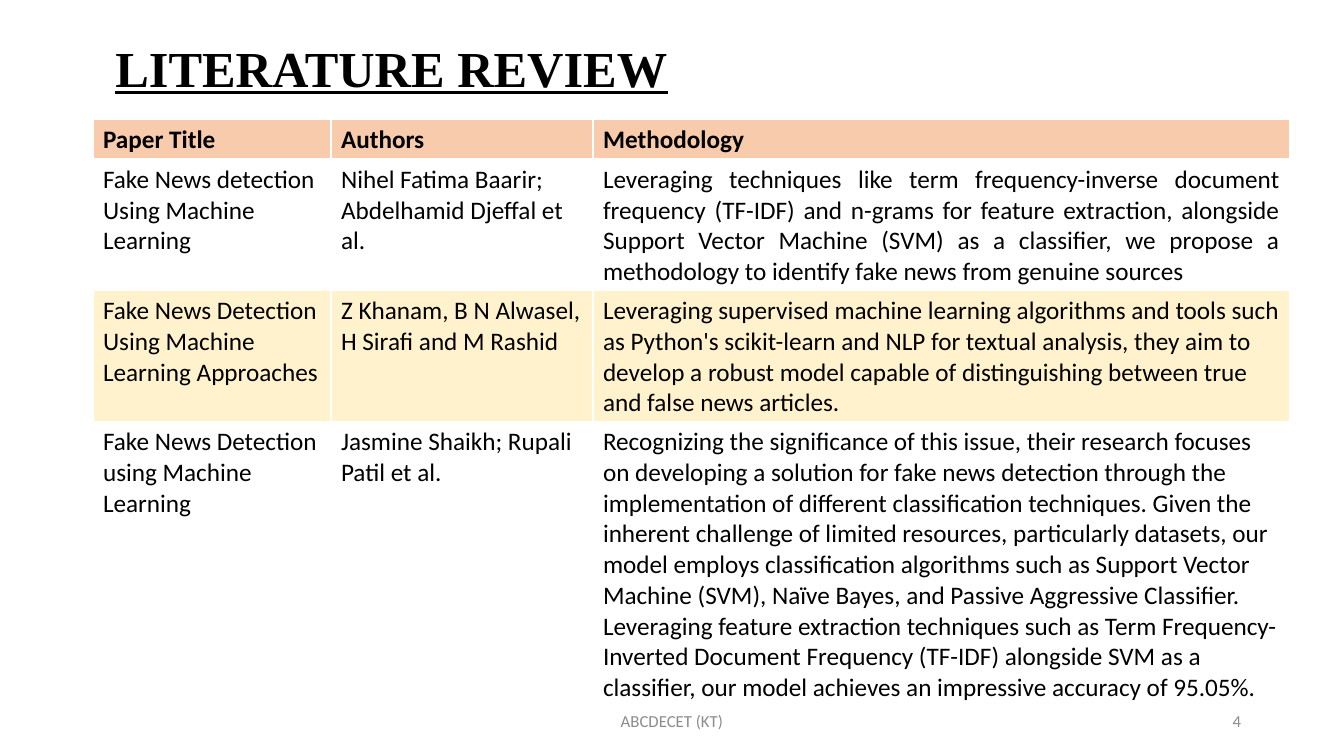
from lxml.etree import SubElement
from pptx import Presentation
from pptx.dml.color import RGBColor
from pptx.enum.text import MSO_ANCHOR, PP_ALIGN
from pptx.oxml.ns import qn
from pptx.util import Emu, Pt

SCALE = 914400 / 100.8  # EMU per px
BLACK = RGBColor(0x00, 0x00, 0x00)
WHITE = RGBColor(0xFF, 0xFF, 0xFF)
GREY = RGBColor(0x8C, 0x8C, 0x8C)
PEACH = RGBColor(0xF8, 0xCB, 0xAD)
CREAM = RGBColor(0xFF, 0xF2, 0xCC)


def px(length):
    return Emu(round(length * SCALE))


def write(frame, text, color, align, formats):
    paragraph = frame.paragraphs[0]
    paragraph.alignment = align
    run = paragraph.add_run()
    run.text = text
    run.font.color.rgb = color
    for attribute, value in formats.items():
        setattr(run.font, attribute, value)


presentation = Presentation()
presentation.slide_width, presentation.slide_height = px(1344), px(756)
slide = presentation.slides.add_slide(presentation.slide_layouts[6])

# Heading, footer and page number
heading_format = {"name": "Times New Roman", "size": Pt(36), "bold": True, "underline": True}
footer_format = {"name": "Calibri", "size": Pt(12)}
lines = [
    ("LITERATURE REVIEW", (93, 32, 597, 72), BLACK, PP_ALIGN.CENTER, MSO_ANCHOR.TOP, heading_format),
    ("ABCDECET (KT)", (445, 701, 454, 40), GREY, PP_ALIGN.CENTER, MSO_ANCHOR.MIDDLE, footer_format),
    ("4", (949, 701, 302, 40), GREY, PP_ALIGN.RIGHT, MSO_ANCHOR.MIDDLE, footer_format),
]
for text, box, color, align, anchor, formats in lines:
    frame = slide.shapes.add_textbox(*map(px, box)).text_frame
    frame.word_wrap = True
    frame.vertical_anchor = anchor
    write(frame, text, color, align, formats)

# Reviewed papers
papers = [
    ("Paper Title", "Authors", "Methodology"),
    (
        "Fake News detection Using Machine Learning",
        "Nihel Fatima Baarir; Abdelhamid Djeffal et al.",
        "Leveraging techniques like term frequency-inverse document frequency (TF-IDF) and "
        "n-grams for feature extraction, alongside Support Vector Machine (SVM) as a classifier, "
        "we propose a methodology to identify fake news from genuine sources",
    ),
    (
        "Fake News Detection Using Machine Learning Approaches",
        "Z Khanam, B N Alwasel, H Sirafi and M Rashid",
        "Leveraging supervised machine learning algorithms and tools such as Python's "
        "scikit-learn and NLP for textual analysis, they aim to develop a robust model capable "
        "of distinguishing between true and false news articles.",
    ),
    (
        "Fake News Detection using Machine Learning",
        "Jasmine Shaikh; Rupali Patil et al.",
        "Recognizing the significance of this issue, their research focuses on developing a "
        "solution for fake news detection through the implementation of different classification "
        "techniques. Given the inherent challenge of limited resources, particularly datasets, "
        "our model employs classification algorithms such as Support Vector Machine (SVM), "
        "Naïve Bayes, and Passive Aggressive Classifier. Leveraging feature extraction "
        "techniques such as Term Frequency-Inverted Document Frequency (TF-IDF) alongside SVM "
        "as a classifier, our model achieves an impressive accuracy of 95.05%.",
    ),
]
column_widths = [238, 262, 697]
row_heights = [40, 131, 131, 282]
row_fills = [PEACH, WHITE, CREAM, WHITE]

review = slide.shapes.add_table(
    len(papers), len(column_widths),
    px(93), px(119), px(sum(column_widths)), px(sum(row_heights)),
).table
for column, width in zip(review.columns, column_widths):
    column.width = px(width)
for row, height in zip(review.rows, row_heights):
    row.height = px(height)

for r, paper in enumerate(papers):
    for c, text in enumerate(paper):
        cell = review.cell(r, c)
        cell.fill.solid()
        cell.fill.fore_color.rgb = row_fills[r]
        # Only the first methodology is justified
        align = PP_ALIGN.JUSTIFY if (r, c) == (1, 2) else PP_ALIGN.LEFT
        write(cell.text_frame, text, BLACK, align,
              {"name": "Calibri", "size": Pt(18), "bold": r == 0})

        # White borders, heavier between header and body
        properties = cell._tc.get_or_add_tcPr()
        for position, side in enumerate(("L", "R", "T", "B")):
            heavy = (r, side) in ((0, "B"), (1, "T"))
            border = SubElement(properties, qn(f"a:ln{side}"), w=str(Pt(3 if heavy else 1)))
            SubElement(SubElement(border, qn("a:solidFill")), qn("a:srgbClr"), val=str(WHITE))
            properties.insert(position, border)

presentation.save("out.pptx")
